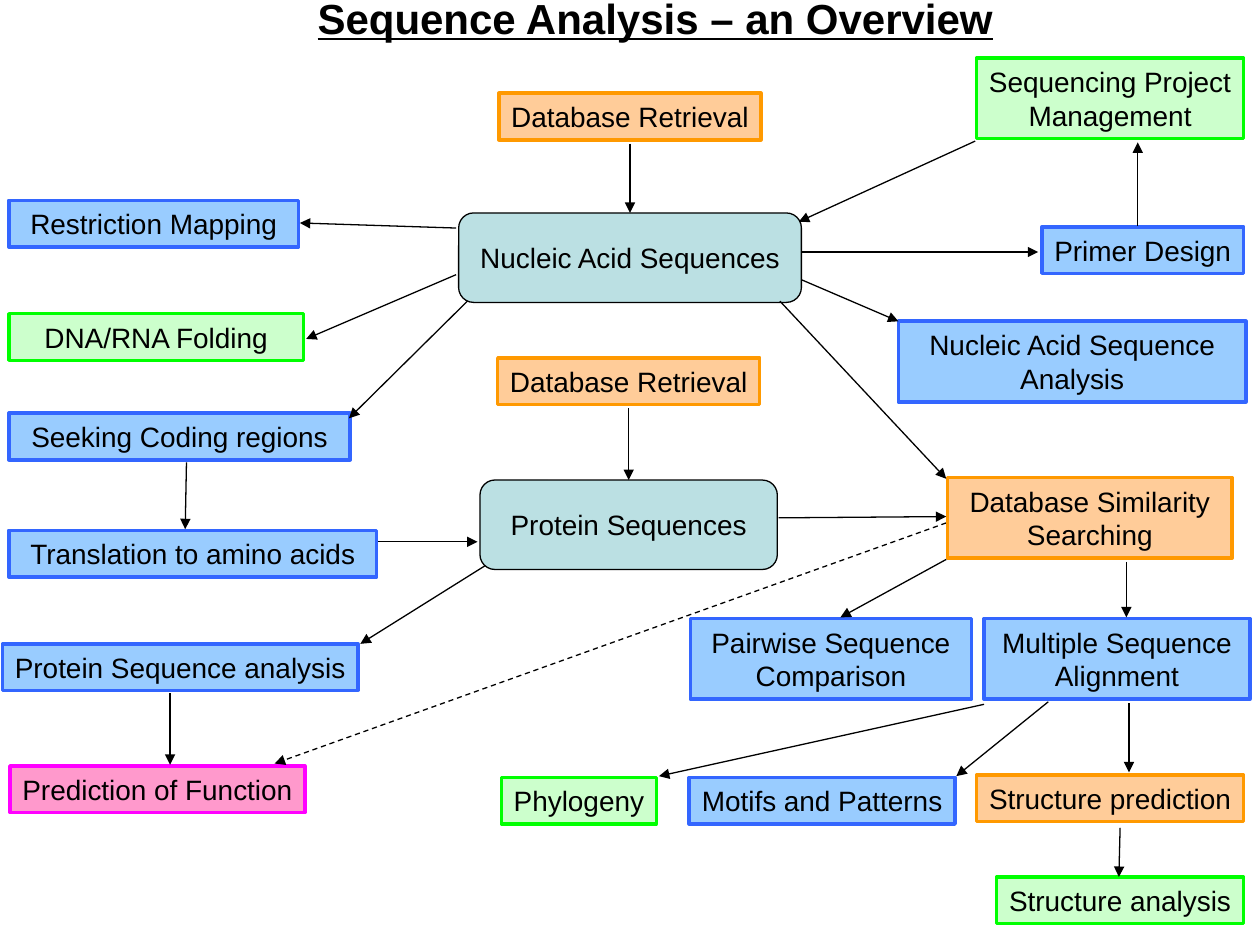
from dataclasses import dataclass

from lxml.etree import SubElement
from pptx import Presentation
from pptx.dml.color import RGBColor as Rgb
from pptx.enum.dml import MSO_LINE_DASH_STYLE as Dash
from pptx.enum.shapes import MSO_CONNECTOR as Link
from pptx.enum.shapes import MSO_SHAPE as Shape
from pptx.enum.text import MSO_ANCHOR as Anchor
from pptx.enum.text import MSO_AUTO_SIZE as AutoSize
from pptx.enum.text import PP_ALIGN as Align
from pptx.oxml.ns import qn
from pptx.util import Inches, Pt


@dataclass(frozen=True)
class Theme:
    """Colours as (fill, line) pairs, with type and line sizes."""
    font: str = "Arial"
    ink: str = "000000"
    hub: tuple = ("BBE0E3", "000000")
    database: tuple = ("FFCC99", "FF9900")
    analysis: tuple = ("99CCFF", "3366FF")
    project: tuple = ("CCFFCC", "00FF00")
    goal: tuple = ("FF99CC", "FF00FF")
    title_size: int = 24
    label_size: int = 16
    thin: float = 0.75
    thick: float = 2


THEME = Theme()
ROW_HEIGHTS = {1: 0.37, 2: 0.64}
HUB_HEIGHT = 0.71


def set_font(paragraph, size):
    """Apply the shared typeface and ink at the given size."""
    paragraph.font.name = THEME.font
    paragraph.font.size = Pt(size)
    paragraph.font.color.rgb = Rgb.from_string(THEME.ink)


def add_label(slide, kind, box, text, colours, width, wrap=False):
    """Add an outlined box with centred text."""
    label = slide.shapes.add_shape(kind, *map(Inches, box))
    label.shadow.inherit = False
    fill, line = colours
    label.fill.solid()
    label.fill.fore_color.rgb = Rgb.from_string(fill)
    label.line.color.rgb = Rgb.from_string(line)
    label.line.width = Pt(width)
    frame = label.text_frame
    frame.text = text
    frame.word_wrap = wrap
    frame.vertical_anchor = Anchor.MIDDLE
    for paragraph in frame.paragraphs:
        paragraph.alignment = Align.CENTER
        set_font(paragraph, THEME.label_size)


def add_step(slide, origin, text, colours, x, y, width, rows=1):
    """Add one workflow step at an offset from its region's origin."""
    box = (origin[0] + x, origin[1] + y, width, ROW_HEIGHTS[rows])
    wrap = rows > 1 and "\n" not in text
    add_label(slide, Shape.RECTANGLE, box, text, colours, THEME.thick, wrap)


def add_arrow(slide, origin, x1, y1, x2, y2, dashed=False):
    """Add an arrow between two offsets from its region's origin."""
    left, top = origin
    ends = (left + x1, top + y1, left + x2, top + y2)
    arrow = slide.shapes.add_connector(Link.STRAIGHT, *map(Inches, ends))
    arrow.line.color.rgb = Rgb.from_string(THEME.ink)
    arrow.line.width = Pt(THEME.thin)
    if dashed:
        arrow.line.dash_style = Dash.DASH
    properties = arrow.line._get_or_add_ln()
    SubElement(properties, qn("a:tailEnd"), type="triangle")
    SubElement(arrow._element.spPr, qn("a:effectLst"))


def add_region(slide, origin, steps, arrows):
    """Place a region's steps and arrows relative to its origin."""
    for step in steps:
        add_step(slide, origin, *step)
    for arrow in arrows:
        add_arrow(slide, origin, *arrow)


def add_title(slide, box, text):
    """Fill and format the title placeholder."""
    title = slide.shapes.title
    title.left, title.top, title.width, title.height = map(Inches, box)
    frame = title.text_frame
    frame.text = text
    frame.word_wrap = False
    frame.auto_size = AutoSize.NONE
    frame.vertical_anchor = Anchor.TOP
    heading = frame.paragraphs[0]
    heading.alignment = Align.LEFT
    set_font(heading, THEME.title_size)
    heading.font.bold = True
    heading.font.underline = True


def add_sequence_hub(slide, box, text):
    """Add a sequence hub fed by database retrieval centred above it."""
    left, top, width, height = box
    hub_offset = height - HUB_HEIGHT
    hub_box = (left, top + hub_offset, width, HUB_HEIGHT)
    add_label(slide, Shape.ROUNDED_RECTANGLE, hub_box, text, THEME.hub, THEME.thin)
    retrieval_width, middle = 2.08, width / 2
    add_region(slide, (left, top), [
        ("Database Retrieval", THEME.database, middle - retrieval_width / 2, 0, retrieval_width),
    ], [(middle, 0.4, middle, hub_offset)])


def add_coding_region(slide, origin):
    """Add the steps from nucleic acids towards translation."""
    add_region(slide, origin, [
        ("Restriction Mapping", THEME.analysis, 0, 0, 2.3),
        ("DNA/RNA Folding", THEME.project, 0, 0.9, 2.34),
        ("Seeking Coding regions", THEME.analysis, 0, 1.69, 2.71),
        ("Translation to amino acids", THEME.analysis, 0, 2.62, 2.92),
    ], [
        (3.55, 0.22, 2.31, 0.18),
        (3.55, 0.59, 2.36, 1.1),
        (3.64, 0.8, 2.7, 1.73),
        (1.41, 2.08, 1.4, 2.61),
        (2.93, 2.71, 3.72, 2.71),
    ])


def add_sequencing_region(slide, origin):
    """Add project management, primer design and nucleic acid analysis."""
    add_region(slide, origin, [
        ("Sequencing Project\nManagement", THEME.project, 0.62, 0, 2.12, 2),
        ("Primer Design", THEME.analysis, 1.14, 1.34, 1.6),
        ("Nucleic Acid Sequence Analysis", THEME.analysis, 0, 2.09, 2.76, 2),
    ], [
        (0.61, 0.66, -0.79, 1.3),
        (-0.77, 1.54, 1.11, 1.54),
        (1.9, 1.33, 1.9, 0.67),
        (-0.77, 1.76, 0, 2.09),
    ])


def add_function_region(slide, origin):
    """Add protein analysis and the prediction of function."""
    add_region(slide, origin, [
        ("Protein Sequence analysis", THEME.analysis, 0, 0, 2.82),
        ("Prediction of Function", THEME.goal, 0.06, 0.97, 2.34),
    ], [
        (3.83, -0.62, 2.84, 0),
        (1.33, 0.39, 1.33, 0.96),
        (7.49, -0.96, 2.16, 0.95, True),
    ])


def add_similarity_region(slide, origin):
    """Add similarity searching and the comparisons that follow."""
    add_region(slide, origin, [
        ("Database Similarity Searching", THEME.database, 3.54, 0, 2.26, 2),
        ("Pairwise Sequence Comparison", THEME.analysis, 1.5, 1.12, 2.23, 2),
        ("Multiple Sequence Alignment", THEME.analysis, 3.83, 1.12, 2.11, 2),
        ("Phylogeny", THEME.project, 0, 2.38, 1.23),
        ("Motifs and Patterns", THEME.analysis, 1.49, 2.38, 2.11),
        ("Structure prediction", THEME.database, 3.77, 2.36, 2.12),
        ("Structure analysis", THEME.project, 3.93, 3.17, 1.96),
    ], [
        (2.21, -1.4, 3.53, 0.01),
        (2.2, 0.32, 3.53, 0.31),
        (4.96, 0.67, 4.96, 1.11),
        (3.53, 0.65, 2.69, 1.11),
        (4.98, 1.79, 4.98, 2.34),
        (4.91, 2.78, 4.9, 3.17),
        (4.34, 1.78, 3.61, 2.37),
        (3.83, 1.8, 1.25, 2.37),
    ])


def main():
    """Build the overview slide and save it."""
    deck = Presentation()
    deck.slide_width, deck.slide_height = Inches(10), Inches(7.5)
    slide = deck.slides.add_slide(deck.slide_layouts.get_by_name("Title Only"))
    add_title(slide, (2.42, -0.11, 5.57, 0.5), "Sequence Analysis – an Overview")
    add_sequence_hub(slide, (3.64, 0.74, 2.72, 1.66), "Nucleic Acid Sequences")
    add_sequence_hub(slide, (3.81, 2.84, 2.36, 1.68), "Protein Sequences")
    add_coding_region(slide, (0.07, 1.59))
    add_sequencing_region(slide, (7.13, 0.46))
    add_function_region(slide, (0.02, 5.11))
    add_similarity_region(slide, (3.98, 3.79))
    deck.save("out.pptx")


if __name__ == "__main__":
    main()
